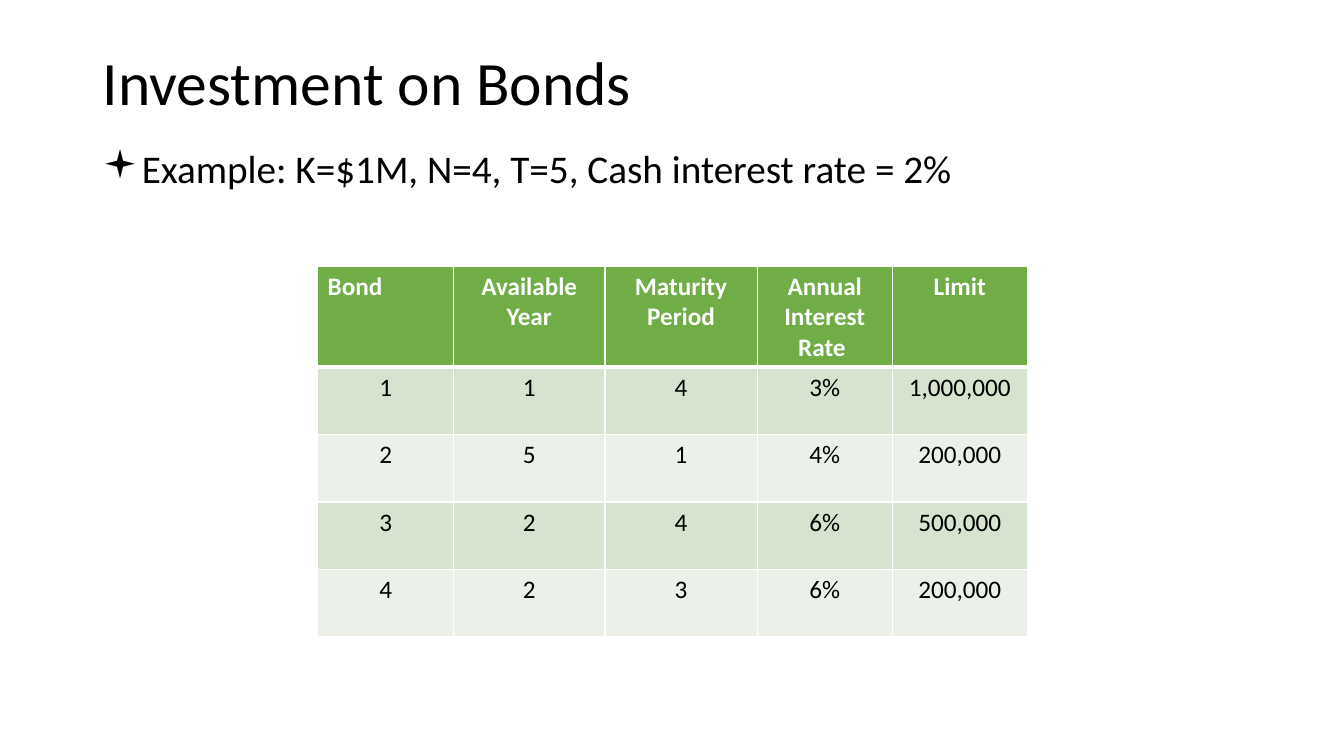
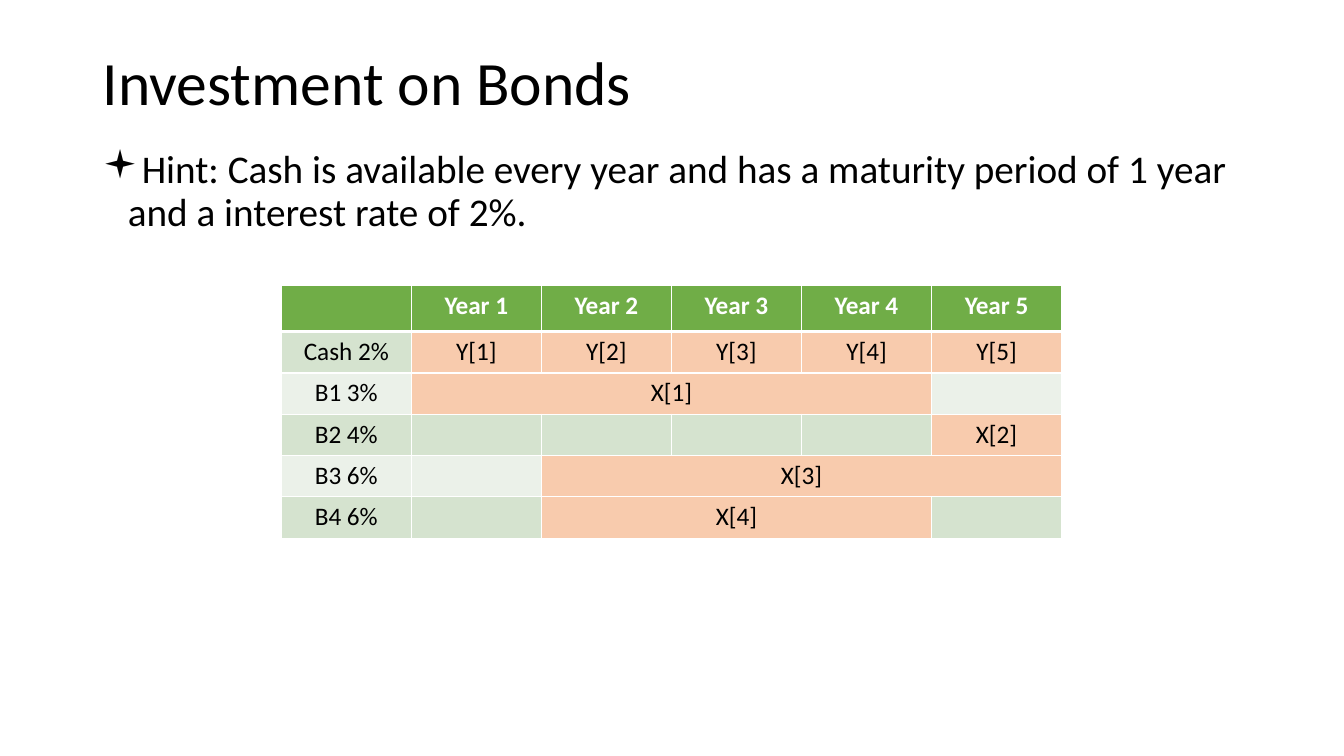
"""Build two slides about a bond investment example."""
from lxml.etree import SubElement
from pptx import Presentation
from pptx.dml.color import RGBColor
from pptx.enum.text import MSO_ANCHOR, PP_ALIGN
from pptx.oxml.ns import qn
from pptx.util import Inches, Pt

WHITE = RGBColor(0xFF, 0xFF, 0xFF)
BLACK = RGBColor(0x00, 0x00, 0x00)
GREEN = RGBColor(0x70, 0xAD, 0x47)
BANDS = RGBColor(0xD5, 0xE3, 0xCF), RGBColor(0xEB, 0xF1, 0xE9)
ORANGE = RGBColor(0xF8, 0xCB, 0xAD)
FONT = "Calibri"
LEFT, WIDTH = 0.92, 11.5


def write(tf, text, size=18, color=BLACK, bold=False, align=PP_ALIGN.LEFT,
          spacing=None, before=None):
    p = tf.paragraphs[0]
    p.alignment = align
    p.line_spacing = spacing
    p.space_before = before
    r = p.add_run()
    r.text = text
    r.font.name = FONT
    r.font.size = Pt(size)
    r.font.bold = bold
    r.font.color.rgb = color
    return p


def set_border(cell, side, width):
    ln = SubElement(cell._tc.get_or_add_tcPr(), qn(f"a:ln{side}"), w=str(Pt(width)))
    fill = SubElement(ln, qn("a:solidFill"))
    SubElement(fill, qn("a:srgbClr"), val=str(WHITE))


class Deck:
    def __init__(self):
        self.prs = Presentation()
        self.prs.slide_width = Inches(13.33)
        self.prs.slide_height = Inches(7.5)

    def add_slide(self, title, bullet):
        self.s = self.prs.slides.add_slide(self.prs.slide_layouts[6])
        tf = self.add_box(0.4, 0.9)
        tf.vertical_anchor = MSO_ANCHOR.MIDDLE
        write(tf, title, size=44, spacing=0.9)
        self.add_bullet(bullet)

    def add_box(self, top, height):
        sp = self.s.shapes.add_textbox(Inches(LEFT), Inches(top),
                                       Inches(WIDTH), Inches(height))
        sp.text_frame.word_wrap = True
        return sp.text_frame

    def add_bullet(self, text):
        p = write(self.add_box(1.44, 5.56), text, size=28, spacing=0.9, before=Pt(10))
        pPr = p._p.get_or_add_pPr()
        pPr.set("marL", str(Inches(0.25)))
        pPr.set("indent", str(Inches(-0.25)))
        SubElement(pPr, qn("a:buFont"), typeface="Wingdings")
        SubElement(pPr, qn("a:buChar"), char="▪")

    def add_table(self, left, top, widths, heights, rows):
        frame = self.s.shapes.add_table(len(heights), len(widths), Inches(left), Inches(top),
                                        Inches(sum(widths)), Inches(sum(heights)))
        table = frame.table
        table.first_row = table.horz_banding = False
        for column, width in zip(table.columns, widths):
            column.width = Inches(width)
        for row, height in zip(table.rows, heights):
            row.height = Inches(height)
        for i, texts in enumerate(rows):
            for j, text in enumerate(texts):
                self.fill_cell(table.cell(i, j), text, i)
        return table

    def fill_cell(self, cell, text, row):
        header = row == 0
        for side in "LRTB":
            thick = (side == "B" and header) or (side == "T" and row == 1)
            set_border(cell, side, 3 if thick else 1)
        cell.fill.solid()
        cell.fill.fore_color.rgb = GREEN if header else BANDS[(row - 1) % 2]
        if text:
            write(cell.text_frame, text, color=WHITE if header else BLACK, bold=header,
                  align=PP_ALIGN.LEFT if text == "Bond" else PP_ALIGN.CENTER)

    def add_holding(self, table, row, year, period, label):
        cell = table.cell(row, year)
        cell.fill.solid()
        cell.fill.fore_color.rgb = ORANGE
        write(cell.text_frame, label, align=PP_ALIGN.CENTER)
        if period > 1:
            cell.merge(table.cell(row, year + period - 1))


def main():
    title = "Investment on Bonds"
    bonds = [(1, 4, "3%", "1,000,000"), (5, 1, "4%", "200,000"),
             (2, 4, "6%", "500,000"), (2, 3, "6%", "200,000")]
    years = range(1, 6)
    deck = Deck()

    deck.add_slide(title, "Example: K=$1M, N=4, T=5, Cash interest rate = 2%")
    rows = [["Bond", "Available Year", "Maturity Period", "Annual Interest Rate ", "Limit"]]
    rows += [[str(v) for v in (n, *bond)] for n, bond in enumerate(bonds, 1)]
    deck.add_table(3.15, 2.64, [1.35, 1.5, 1.51, 1.34, 1.34], [1] + [0.67] * 4, rows)

    deck.add_slide(title, "Hint: Cash is available every year and has a maturity period "
                          "of 1 year and a interest rate of 2%.")
    names = ["Cash 2%"] + [f"B{n} {bond[2]}" for n, bond in enumerate(bonds, 1)]
    rows = [[""] + [f"Year {y}" for y in years]]
    rows += [[name] + [""] * len(years) for name in names]
    table = deck.add_table(2.79, 2.83, [1.29] * 6, [0.46] + [0.41] * 5, rows)
    for y in years:
        deck.add_holding(table, 1, y, 1, f"Y[{y}]")
    for n, (year, period, *_) in enumerate(bonds, 1):
        deck.add_holding(table, n + 1, year, period, f"X[{n}]")

    deck.prs.save("out.pptx")


if __name__ == "__main__":
    main()
